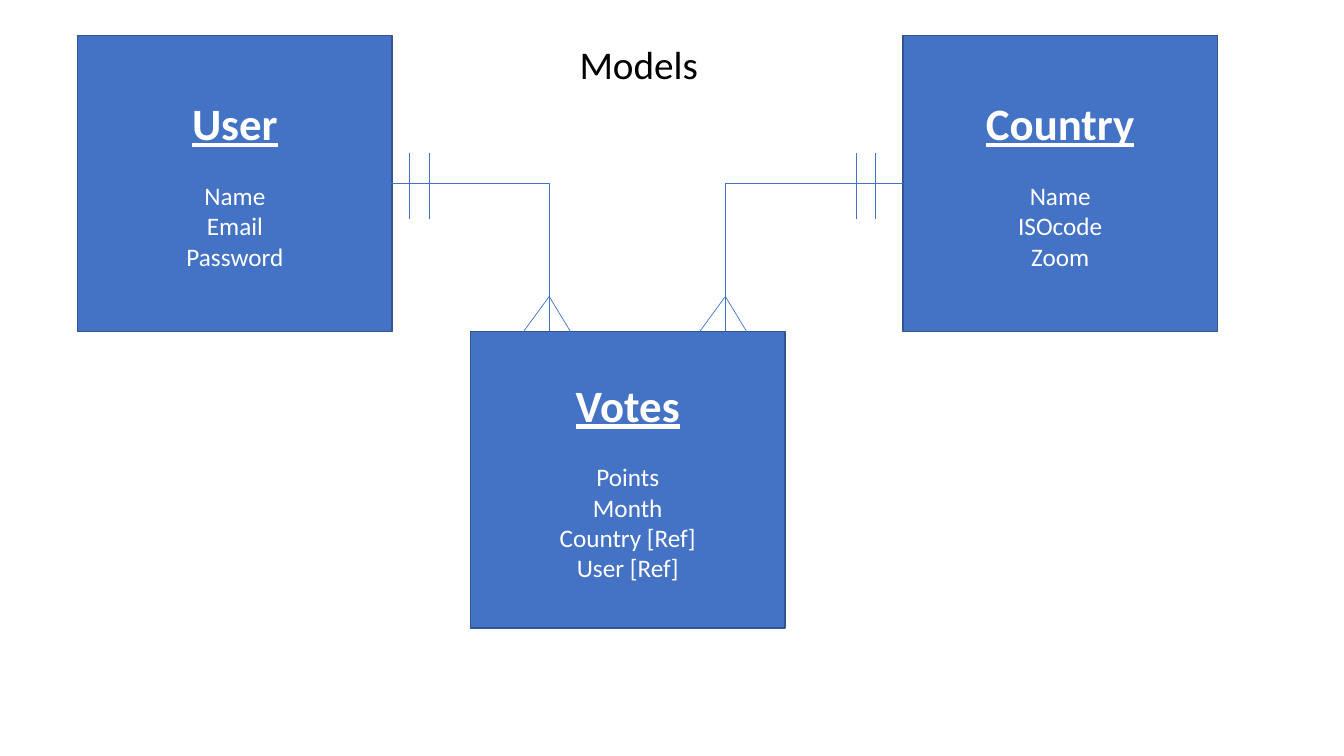
from lxml.etree import SubElement
from pptx import Presentation
from pptx.dml.color import RGBColor
from pptx.enum.shapes import MSO_CONNECTOR, MSO_SHAPE
from pptx.enum.text import MSO_ANCHOR, MSO_AUTO_SIZE, PP_ALIGN
from pptx.oxml.ns import qn
from pptx.util import Cm, Pt

HUES = {"fill": "4472C4", "edge": "325491", "light": "FFFFFF", "dark": "000000"}
WIDE, HIGH = 7.92, 7.47
TOP = 0.89
LOW = TOP + HIGH
MID = 4.62

HEAD = {"size": Pt(32), "bold": True, "underline": True}
BODY = {"size": Pt(18), "bold": False, "underline": False}
NAME = {"size": Pt(28), "bold": False}

MODELS = [
    (1.96, TOP, "User", ["Name", "Email", "Password"]),
    (22.76, TOP, "Country", ["Name", "ISOcode", "Zoom"]),
    (11.86, LOW, "Votes", ["Points", "Month", "Country [Ref]", "User [Ref]"]),
]


def tint(hue):
    return RGBColor.from_string(HUES[hue])


def apply(item, form):
    for key, value in form.items():
        setattr(item, key, value)


def write(para, text, form, hue):
    run = para.add_run()
    run.text = text
    apply(run.font, {"name": "Calibri", **form})
    run.font.color.rgb = tint(hue)


def add_title(slide, text):
    title = slide.shapes.title
    apply(title, {"left": Cm(14.35), "top": Cm(TOP), "width": Cm(3.56), "height": Cm(1.45)})
    frame = title.text_frame
    apply(frame, {"word_wrap": True, "vertical_anchor": MSO_ANCHOR.TOP,
                  "auto_size": MSO_AUTO_SIZE.SHAPE_TO_FIT_TEXT})
    para = frame.paragraphs[0]
    para.alignment = PP_ALIGN.LEFT
    write(para, text, NAME, "dark")


def add_model(slide, left, top, head, fields):
    box = slide.shapes.add_shape(MSO_SHAPE.RECTANGLE, Cm(left), Cm(top), Cm(WIDE), Cm(HIGH))
    box.shadow.inherit = False
    box.fill.solid()
    box.fill.fore_color.rgb = tint("fill")
    box.line.color.rgb = tint("edge")
    box.line.width = Pt(1)
    frame = box.text_frame
    apply(frame, {"word_wrap": True, "vertical_anchor": MSO_ANCHOR.MIDDLE})
    first = frame.paragraphs[0]
    apply(first, {"alignment": PP_ALIGN.CENTER, "space_after": Pt(22)})
    write(first, head, HEAD, "light")
    for field in fields:
        para = frame.add_paragraph()
        para.alignment = PP_ALIGN.CENTER
        write(para, field, BODY, "light")


def add_line(slide, start, end, kind=MSO_CONNECTOR.STRAIGHT):
    line = slide.shapes.add_connector(kind, *map(Cm, start + end))
    line.line.color.rgb = tint("fill")
    line.line.width = Pt(0.5)
    SubElement(line._element.spPr, qn("a:effectLst"))
    return line


def add_links(slide):
    link = add_line(slide, (7.87, MID), (13.84, LOW), MSO_CONNECTOR.ELBOW)
    link._element.spPr.find(qn("a:prstGeom")).set("prst", "bentConnector2")
    add_line(slide, (22.76, MID), (13.79, 8.59), MSO_CONNECTOR.ELBOW)


def add_foot(slide, peak):
    for shift in (-0.65, 0.54):
        add_line(slide, (peak, 7.47), (peak + shift, LOW))


def add_bars(slide, *spots):
    for spot in spots:
        add_line(slide, (spot, 3.86), (spot, 5.51))


def main():
    deck = Presentation()
    apply(deck, {"slide_width": Cm(33.87), "slide_height": Cm(19.05)})
    slide = deck.slides.add_slide(deck.slide_layouts[5])
    for model in MODELS:
        add_model(slide, *model)
    add_links(slide)
    for peak in (13.84, 18.28):
        add_foot(slide, peak)
    add_bars(slide, 10.31, 10.82, 21.59, 22.05)
    add_title(slide, "Models")
    deck.save("out.pptx")


if __name__ == "__main__":
    main()
